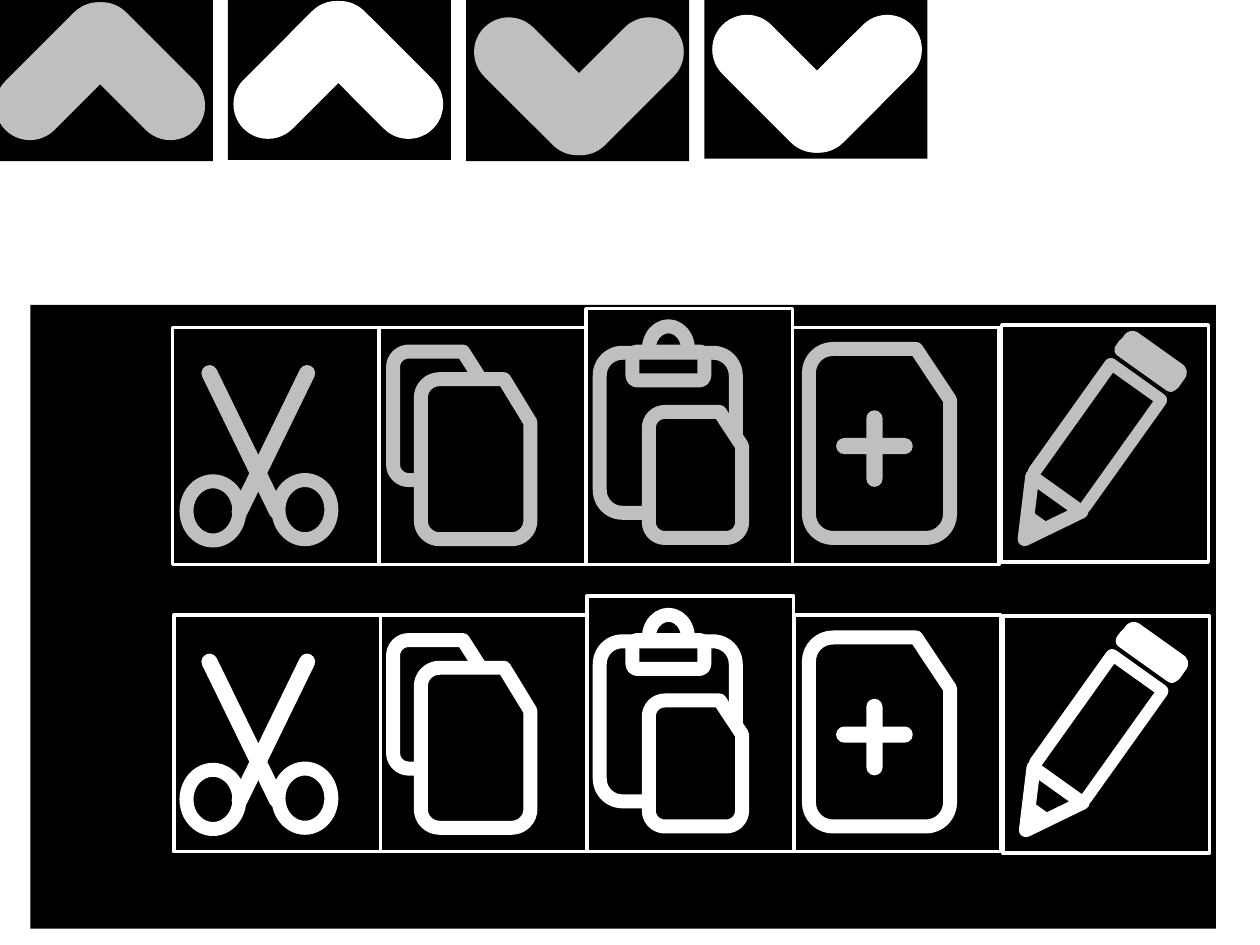
from dataclasses import dataclass
from math import cos, pi, sin

from pptx import Presentation
from pptx.dml.color import RGBColor
from pptx.enum.shapes import MSO_SHAPE
from pptx.util import Inches, Pt

RECT = MSO_SHAPE.RECTANGLE
ROUND = MSO_SHAPE.ROUNDED_RECTANGLE
OVAL = MSO_SHAPE.OVAL
ARC = MSO_SHAPE.ARC
TRIANGLE = MSO_SHAPE.ISOSCELES_TRIANGLE


@dataclass(frozen=True)
class Theme:
    black: str = "000000"
    white: str = "FFFFFF"
    gray: str = "BFBFBF"
    thin: float = 2
    thick: float = 8


class IconSheet:
    """Draws toolbar icons on one slide in a shared style."""

    def __init__(self, slide, theme):
        self.slide = slide
        self.theme = theme
        self.shapes = slide.shapes

    def start_group(self):
        self.shapes = self.slide.shapes.add_group_shape().shapes

    def end_group(self):
        self.shapes = self.slide.shapes

    def paint(self, shape, fill, line, width):
        shape.shadow.inherit = False
        if fill:
            shape.fill.solid()
            shape.fill.fore_color.rgb = RGBColor.from_string(fill)
        else:
            shape.fill.background()
        if line:
            shape.line.color.rgb = RGBColor.from_string(line)
            shape.line.width = Pt(width)
        else:
            shape.line.fill.background()

    def shape(self, kind, box, fill=None, line=None, width=8, rotation=0, adjust=()):
        shape = self.shapes.add_shape(kind, *map(Inches, box))
        for index, value in enumerate(adjust):
            shape.adjustments[index] = value
        shape.rotation = rotation
        self.paint(shape, fill, line, width)

    def bar(self, box, rotation, color, line=None):
        self.shape(ROUND, box, color, line, self.theme.thin, rotation, [0.5])

    def page(self, left, top, width, height, color, fill=None):
        radius = 0.17 * width
        right, bottom = left + width, top + height
        corners = [
            (right - radius, bottom - radius, 0),
            (left + radius, bottom - radius, pi / 2),
            (left + radius, top + radius, pi),
        ]
        points = [(right - 0.24 * width, top), (right, top + 0.27 * height)]
        steps = 8
        for x, y, start in corners:
            angles = [start + step * pi / 2 / steps for step in range(steps + 1)]
            points += [(x + radius * cos(angle), y + radius * sin(angle)) for angle in angles]
        outline = [(Inches(x), Inches(y)) for x, y in points]
        builder = self.shapes.build_freeform(*outline[0])
        builder.add_line_segments(outline[1:], close=True)
        self.paint(builder.convert_to_shape(), fill, color, self.theme.thick)

    def frames(self, left, top, fill=None):
        for column in range(4):
            rise = 0.15 if column == 2 else 0
            box = (left + 1.64 * column, top - rise, 1.64, 1.88 + rise)
            self.shape(RECT, box, fill, self.theme.white, self.theme.thin)

    def clipboard(self, top, color):
        self.shape(ROUND, (4.76, top + 0.21, 1.08, 1.27), line=color)
        self.shape(ROUND, (5.02, top + 0.2, 0.57, 0.23), line=color)
        self.shape(ARC, (5.15, top, 0.31, 0.36), line=color, adjust=[108.2, 0])

    def plus(self, top, color):
        self.page(6.42, top + 0.18, 1.12, 1.5, color)
        self.bar((6.65, top + 0.92, 0.58, 0.1), 90, color, color)
        self.bar((6.65, top + 0.9, 0.58, 0.1), 180, color, color)

    def scissors(self, top, color):
        self.bar((1.51, top + 0.87, 1.32, 0.1), 296, color, color)
        self.shape(OVAL, (1.48, top + 1.23, 0.42, 0.47), line=color)
        self.shape(OVAL, (2.21, top + 1.22, 0.42, 0.47), line=color)
        self.bar((1.27, top + 0.87, 1.32, 0.1), 64, color, color)

    def tool_icons(self, top, color):
        black = self.theme.black
        self.start_group()
        self.clipboard(top, color)
        self.page(3.12, top + 0.2, 0.73, 1.02, color)
        self.plus(top, color)
        self.page(5.15, top + 0.68, 0.74, 1, color, black)
        self.scissors(top, color)
        self.page(3.34, top + 0.42, 0.87, 1.27, color, black)
        self.end_group()

    def pencil(self, left, top, color):
        black = self.theme.black
        self.shape(RECT, (left, top, 1.64, 1.88), black, self.theme.white, self.theme.thin)
        tilt = 35.5
        parts = [
            (ROUND, 0.95, 0.22, 0.48, 0.13, color, color, tilt, ()),
            (RECT, 0.52, 0.36, 0.48, 1.04, color, color, tilt, ()),
            (TRIANGLE, 0.07, 1.3, 0.48, 0.44, black, color, tilt + 180, ()),
            (TRIANGLE, 0.14, 1.51, 0.22, 0.21, color, None, tilt + 180, ()),
            (RECT, 0.56, 0.4, 0.39, 0.99, black, None, tilt, ()),
            (ROUND, 0.92, 0.29, 0.48, 0.05, color, color, tilt, (0,)),
        ]
        self.start_group()
        for kind, x, y, width, height, fill, line, rotation, adjust in parts:
            box = (left + x, top + y, width, height)
            self.shape(kind, box, fill, line, self.theme.thick, rotation, adjust)
        self.end_group()

    def chevron(self, left, top, color, bars):
        self.start_group()
        self.shape(RECT, (left, top, 1.77, 1.3), self.theme.black)
        for x, y, rotation in bars:
            self.bar((left + x, top + y, 1.32, 0.55), rotation, color)
        self.end_group()


def main():
    presentation = Presentation()
    presentation.slide_width = Inches(10)
    presentation.slide_height = Inches(7.5)
    slide = presentation.slides.add_slide(presentation.slide_layouts[6])
    theme = Theme()
    sheet = IconSheet(slide, theme)

    sheet.shape(RECT, (0.24, 2.42, 9.41, 4.95), theme.black)
    sheet.frames(1.38, 4.88, theme.black)
    sheet.tool_icons(4.88, theme.white)
    sheet.tool_icons(2.59, theme.gray)
    sheet.frames(1.37, 2.6)

    up = [(-0.07, 0.31, 135), (0.5, 0.31, 225)]
    down = [(0.52, 0.43, 315), (-0.05, 0.43, 45)]
    chevrons = [
        (-0.02, theme.gray, up),
        (-0.03, theme.white, up),
        (-0.02, theme.gray, down),
        (-0.04, theme.white, down),
    ]
    for column, (top, color, bars) in enumerate(chevrons):
        sheet.chevron(-0.08 + 1.89 * column, top, color, bars)

    sheet.pencil(7.96, 4.89, theme.white)
    sheet.pencil(7.95, 2.58, theme.gray)
    presentation.save("out.pptx")


main()
